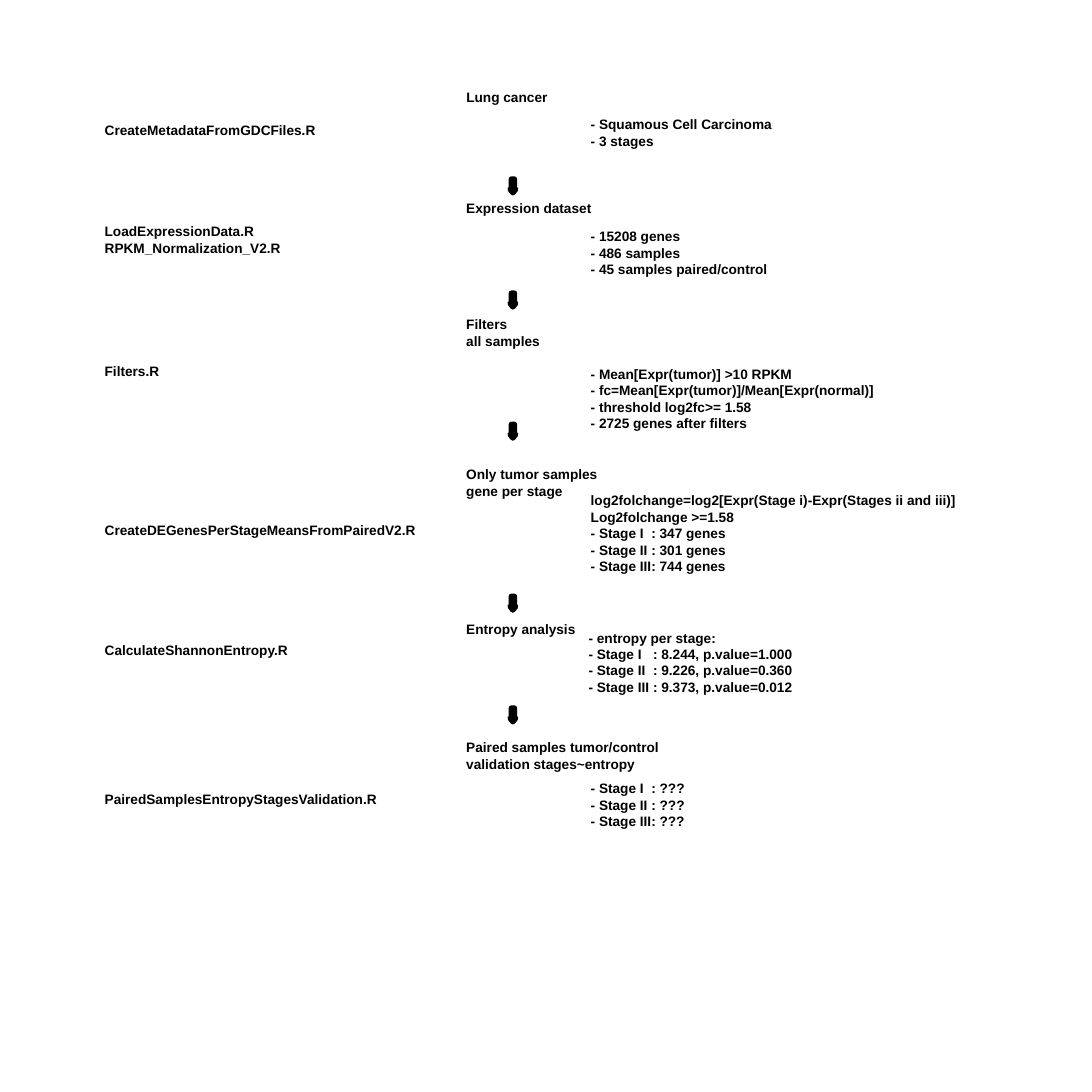
from dataclasses import dataclass

from lxml.etree import SubElement
from pptx import Presentation
from pptx.dml.color import RGBColor
from pptx.enum.text import MSO_ANCHOR, MSO_AUTO_SIZE, PP_ALIGN
from pptx.oxml.ns import qn
from pptx.slide import Slide
from pptx.util import Cm, Pt

TITLE_ONLY = 5
BLACK = "000000"
SCRIPT_LEFT, HEADING_LEFT, DETAIL_LEFT = 4.62, 21.44, 27.23
ARROW_CENTER = 23.86
ARROW_TOPS = (8.33, 13.64, 19.74, 27.74, 32.94)
# Half of the outline, as offsets from the centre line and the top
ARROW_SIDE = ((0.07, 0), (0.07, 0.47), (0.13, 0.47))
ARROW_TIP = (0, 0.64)


@dataclass(frozen=True)
class Block:
    """Text with its place in centimetres and, if needed, a tab stop."""
    text: str
    top: float
    width: float
    height: float
    left: float = DETAIL_LEFT
    tab_stop: float = 0


@dataclass(frozen=True)
class Step:
    heading: Block
    script: Block
    details: Block


def heading(text: str, top: float, width: float, height: float) -> Block:
    return Block(text, top, width, height, HEADING_LEFT)


def script(text: str, top: float, width: float = 15, height: float = 1.68) -> Block:
    return Block(text, top, width, height, SCRIPT_LEFT)


STEPS = (
    Step(heading("Lung cancer", 3.99, 6.78, 3.1),
         script("CreateMetadataFromGDCFiles.R", 5.56, 10.8, 1.12),
         Block("- Squamous Cell Carcinoma\n- 3 stages", 5.28, 10.13, 2.39)),
    Step(heading("Expression dataset", 9.19, 6.78, 3.1),
         script("LoadExpressionData.R\nRPKM_Normalization_V2.R", 10.26, 12.52),
         Block("- 15208 genes\n- 486 samples\n- 45 samples paired/control",
               10.49, 12.04, 3.1)),
    Step(heading("Filters\nall samples", 14.58, 6.5, 0.97),
         script("Filters.R", 16.76),
         Block("- Mean[Expr(tumor)] >10 RPKM\n"
               "- fc=Mean[Expr(tumor)]/Mean[Expr(normal)]\n"
               "- threshold log2fc>= 1.58\n"
               "- 2725 genes after filters", 16.89, 15.32, 3.1)),
    Step(heading("Only tumor samples\ngene per stage", 21.56, 10.08, 1.68),
         script("CreateDEGenesPerStageMeansFromPairedV2.R", 24.16),
         Block("log2folchange=log2[Expr(Stage i)-Expr(Stages ii and iii)]\n"
               "Log2folchange >=1.58\n"
               "- Stage I\t: 347 genes\n"
               "- Stage II\t: 301 genes\n"
               "- Stage III: 744 genes", 22.78, 23, 3.81, tab_stop=2.82)),
    Step(heading("Entropy analysis", 28.78, 6.5, 0.97),
         script("CalculateShannonEntropy.R", 29.74),
         Block("- entropy per stage:\n"
               "- Stage I\t: 8.244, p.value=1.000\n"
               "- Stage II\t: 9.226, p.value=0.360\n"
               "- Stage III\t: 9.373, p.value=0.012",
               29.16, 11.76, 4.52, left=27.13, tab_stop=3)),
    Step(heading("Paired samples tumor/control validation stages~entropy",
                 34.26, 10.39, 1.68),
         script("PairedSamplesEntropyStagesValidation.R", 36.65, 15.24),
         Block("- Stage I\t: ???\n- Stage II\t: ???\n- Stage III: ???",
               36.17, 23, 4.45, tab_stop=2.82)),
)


def color(value: str) -> RGBColor:
    return RGBColor.from_string(value)


def write_block(shape, block: Block) -> None:
    shape.left, shape.top = Cm(block.left), Cm(block.top)
    shape.width, shape.height = Cm(block.width), Cm(block.height)
    frame = shape.text_frame
    frame.text = block.text
    frame.word_wrap = True
    frame.auto_size = MSO_AUTO_SIZE.NONE
    frame.vertical_anchor = MSO_ANCHOR.TOP
    for paragraph in frame.paragraphs:
        paragraph.alignment = PP_ALIGN.LEFT
        if "\t" in paragraph.text:
            tabs = SubElement(paragraph._p.get_or_add_pPr(), qn("a:tabLst"))
            SubElement(tabs, qn("a:tab"), pos=str(Cm(block.tab_stop)), algn="l")
        font = paragraph.font
        font.name, font.size, font.bold = "Arial", Pt(18), True
        font.color.rgb = color(BLACK)


def add_block(slide: Slide, block: Block) -> None:
    write_block(slide.shapes.add_textbox(0, 0, 0, 0), block)


def add_arrow(slide: Slide, top: float) -> None:
    left_side = [(-x, y) for x, y in reversed(ARROW_SIDE)]
    outline = [(Cm(ARROW_CENTER + x), Cm(top + y))
               for x, y in (*ARROW_SIDE, ARROW_TIP, *left_side)]
    builder = slide.shapes.build_freeform(*outline[0])
    builder.add_line_segments(outline[1:], close=True)
    arrow = builder.convert_to_shape()
    arrow.shadow.inherit = False
    arrow.fill.solid()
    arrow.fill.fore_color.rgb = color(BLACK)
    arrow.line.color.rgb = color(BLACK)
    arrow.line.width = Pt(7.2)


def main() -> None:
    presentation = Presentation()
    presentation.slide_width = presentation.slide_height = Cm(50.8)
    slide = presentation.slides.add_slide(presentation.slide_layouts[TITLE_ONLY])
    first, *later = STEPS
    write_block(slide.shapes.title, first.heading)
    for step in later:
        add_block(slide, step.heading)
    for step in STEPS:
        add_block(slide, step.script)
        add_block(slide, step.details)
    for top in ARROW_TOPS:
        add_arrow(slide, top)
    presentation.save("out.pptx")


if __name__ == "__main__":
    main()
